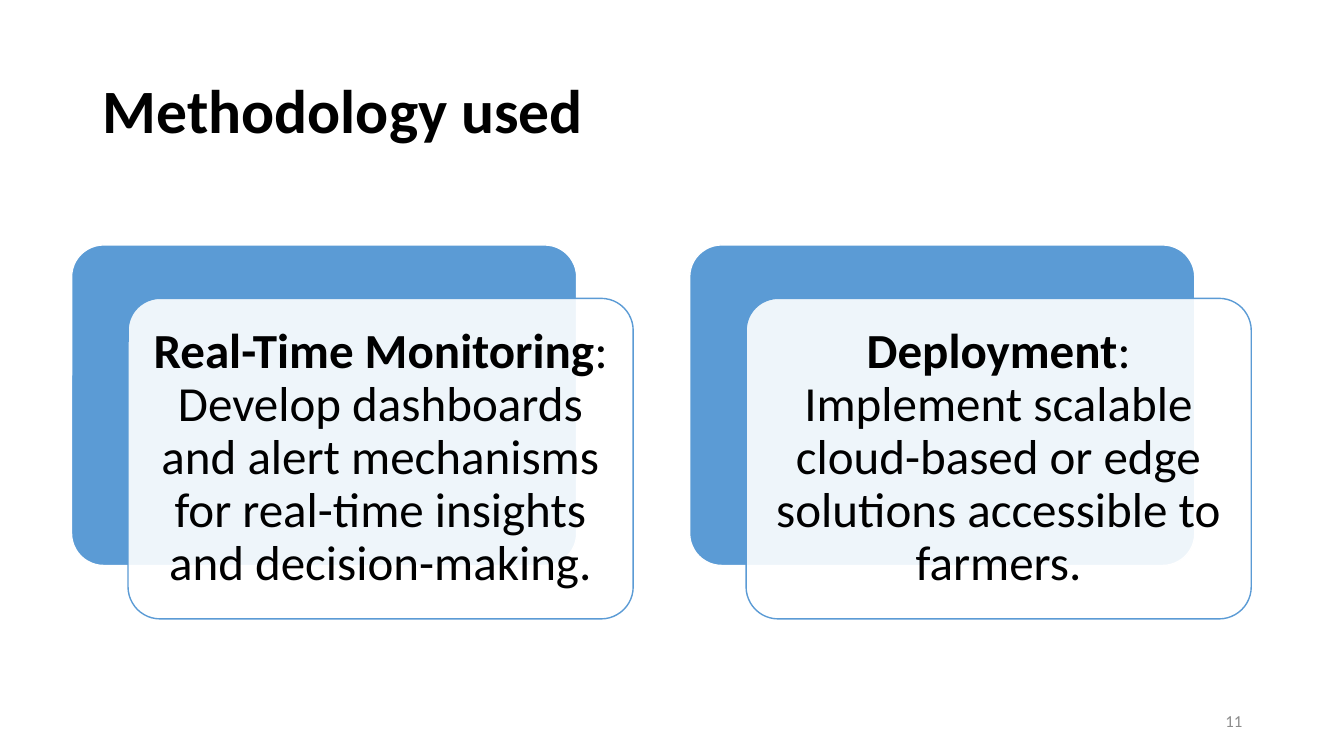
"""Builds the methodology slide with two layered cards."""
from dataclasses import dataclass

from lxml import etree
from pptx import Presentation
from pptx import util as u
from pptx.dml.color import RGBColor
from pptx.enum import shapes, text
from pptx.oxml.ns import qn


@dataclass(frozen=True)
class Theme:
    font: str = "Calibri"
    ink: str = "000000"
    muted: str = "8C8C8C"
    accent: str = "5B9BD5"
    paper: str = "FFFFFF"
    title_size: int = 44
    card_size: int = 35
    number_size: int = 12


class SlideBuilder:
    def __init__(self, slide, theme):
        self.slide = slide
        self.theme = theme

    def add_text(self, frame, runs, size, color, align, spacing=1.0):
        frame.word_wrap = True
        frame.auto_size = text.MSO_AUTO_SIZE.NONE
        frame.vertical_anchor = text.MSO_ANCHOR.MIDDLE
        paragraph = frame.paragraphs[0]
        paragraph.alignment = align
        paragraph.line_spacing = spacing
        for words, bold in runs:
            run = paragraph.add_run()
            run.text = words
            run.font.name = self.theme.font
            run.font.size = u.Pt(size)
            run.font.bold = bold
            run.font.color.rgb = RGBColor.from_string(color)

    def title(self, words):
        shape = self.slide.shapes.title
        shape.left, shape.top = u.Inches(0.92), u.Inches(0.4)
        shape.width, shape.height = u.Inches(11.5), u.Inches(1.45)
        self.add_text(shape.text_frame, [(words, True)], self.theme.title_size,
                      self.theme.ink, text.PP_ALIGN.LEFT, 0.9)

    def panel(self, left, top, fill, line, opacity=100):
        shape = self.slide.shapes.add_shape(
            shapes.MSO_SHAPE.ROUNDED_RECTANGLE,
            u.Inches(left), u.Inches(top), u.Inches(5.01), u.Inches(3.18))
        shape.adjustments[0] = 0.1
        shape.shadow.inherit = False
        shape.fill.solid()
        shape.fill.fore_color.rgb = RGBColor.from_string(fill)
        shape.line.color.rgb = RGBColor.from_string(line)
        shape.line.width = u.Pt(1)
        if opacity < 100:
            properties = shape.element.spPr
            color = properties.find(qn("a:solidFill"))[0]
            etree.SubElement(color, qn("a:alpha"), val=str(opacity * 1000))
        return shape

    def card(self, left, heading, body):
        theme = self.theme
        top = 2.43
        self.panel(left, top, theme.accent, theme.paper)
        front = self.panel(left + 0.56, top + 0.53, theme.paper, theme.accent, 90)
        frame = front.text_frame
        frame.margin_left = frame.margin_right = u.Inches(0.15)
        frame.margin_top = frame.margin_bottom = u.Inches(0.15)
        self.add_text(frame, [(heading, True), (body, False)], theme.card_size,
                      theme.ink, text.PP_ALIGN.CENTER, 0.9)

    def page_number(self, number):
        box = self.slide.shapes.add_textbox(
            u.Inches(9.42), u.Inches(6.95), u.Inches(3), u.Inches(0.4))
        self.add_text(box.text_frame, [(number, False)], self.theme.number_size,
                      self.theme.muted, text.PP_ALIGN.RIGHT)


def main():
    presentation = Presentation()
    presentation.slide_width = u.Inches(13.33)
    presentation.slide_height = u.Inches(7.5)
    slide = presentation.slides.add_slide(presentation.slide_layouts[5])
    builder = SlideBuilder(slide, Theme())

    builder.title("Methodology used")
    builder.page_number("11")
    steps = [
        ("Real-Time Monitoring",
         ": Develop dashboards and alert mechanisms for real-time insights "
         "and decision-making."),
        ("Deployment",
         ": Implement scalable cloud-based or edge solutions accessible to "
         "farmers."),
    ]
    for index, (heading, body) in enumerate(steps):
        builder.card(0.71 + index * 6.13, heading, body)

    presentation.save("out.pptx")


if __name__ == "__main__":
    main()
